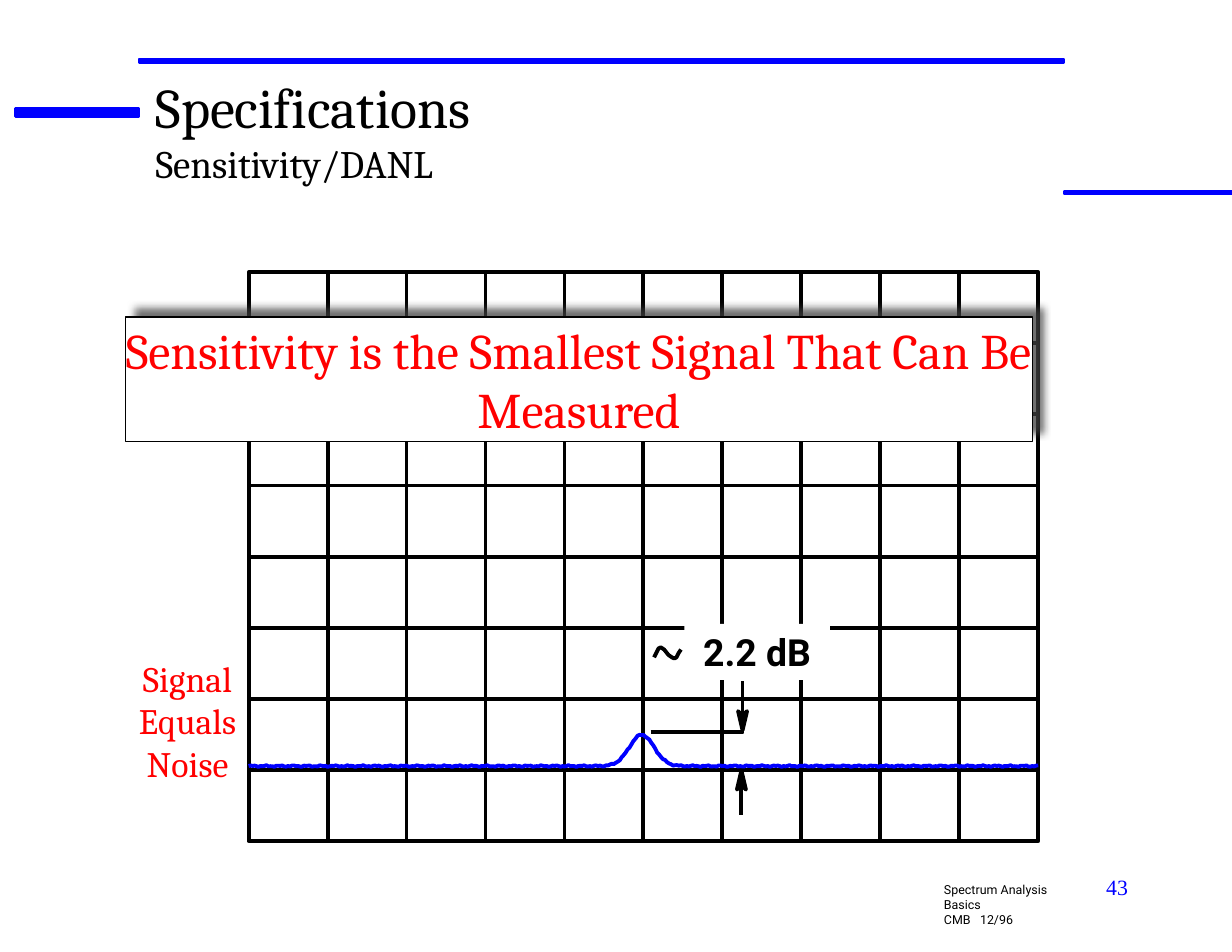
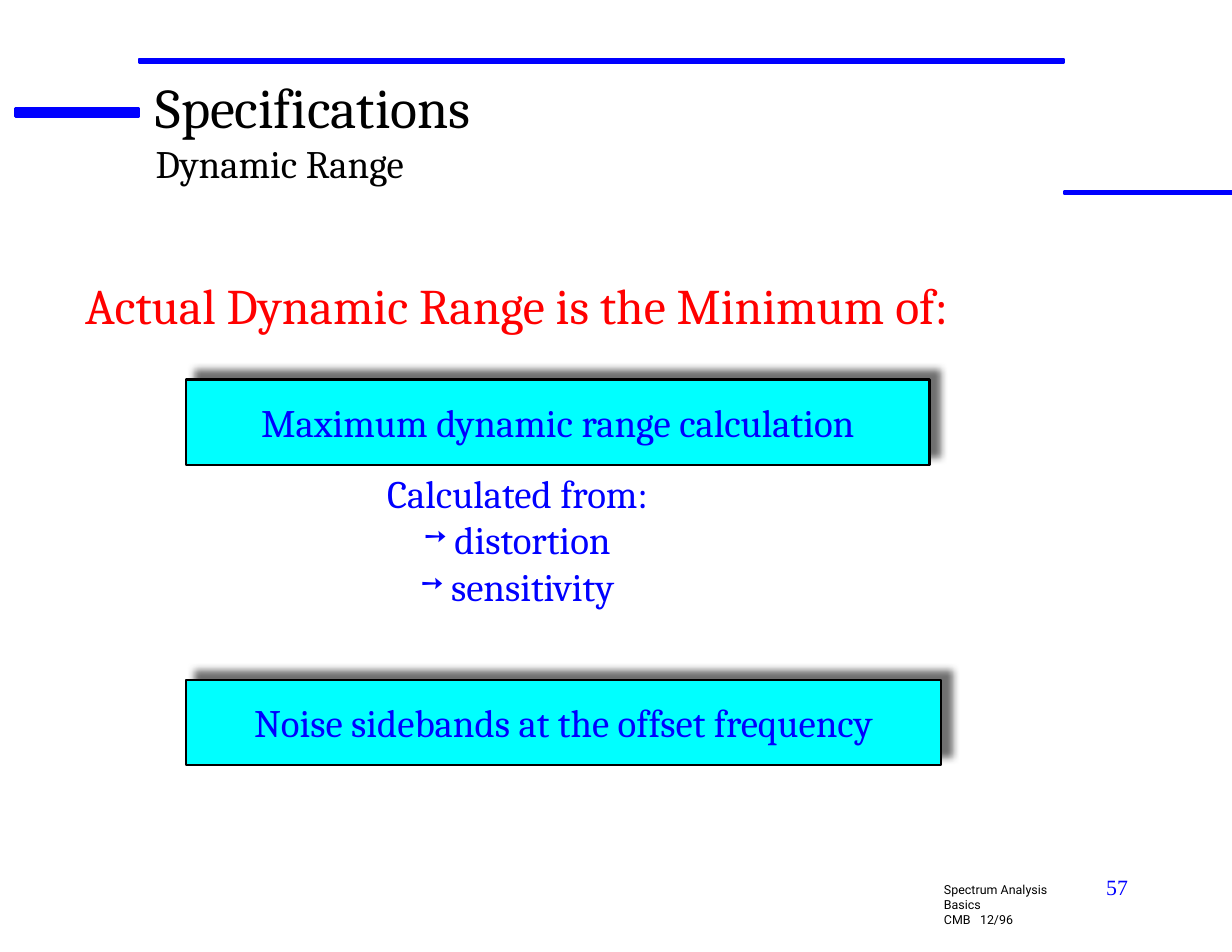
from math import exp, sin
from lxml.etree import SubElement as Sub
from pptx import Presentation
from pptx.dml.color import RGBColor
from pptx.enum.shapes import MSO_CONNECTOR as Link, MSO_SHAPE as Kind
from pptx.enum.text import MSO_ANCHOR as Anchor, MSO_AUTO_SIZE as Fit, PP_ALIGN as Align
from pptx.oxml.ns import qn
from pptx.util import Inches as In, Pt

WIDE, HIGH = 11, 8.5
BLUE, RED, CYAN, BLACK, WHITE = "0000FF", "FF0000", "00FFFF", "000000", "FFFFFF"
SERIF, SANS, TIMES = "Cambria", "Roboto", "Times New Roman"
PEN = 2.5
tint = RGBColor.from_string

BANDS = [  # left, top, width, height, colour
    (1.12, 0.5, 0.11, 0.13, WHITE),
    (0.14, 0.97, 1.1, 0.07, BLUE),
    (1.24, 0.53, 8.26, 0.03, BLUE),
    (9.5, 1.71, 1.5, 0.02, BLUE),
]


def ink(shape, fill=None, line=None, width=PEN, shade=False):
    """Set fill and line, and replace the theme's shadow by none or a drop shadow."""
    if hasattr(shape, "fill"):
        if fill:
            shape.fill.solid()
            shape.fill.fore_color.rgb = tint(fill)
        else:
            shape.fill.background()
    if line:
        shape.line.color.rgb = tint(line)
        shape.line.width = Pt(width)
    else:
        shape.line.fill.background()
    fx = Sub(shape._element.spPr, qn("a:effectLst"))
    if shade:
        drop = Sub(fx, qn("a:outerShdw"), blurRad=str(Pt(5)), dist=str(Pt(8.5)),
                   dir=str(315 * 60000), algn="ctr", rotWithShape="0")
        tone = Sub(drop, qn("a:srgbClr"), val="404040")
        Sub(tone, qn("a:alpha"), val="75000")


def write(shape, lines, size, color, font=SERIF, align=Align.CENTER,
          anchor=Anchor.TOP, pad=(0, 0), bold=False):
    """Fill the text frame, one paragraph a line; pad is the side and top inset."""
    frame = shape.text_frame
    side, top = map(In, pad)
    form = dict(word_wrap=True, auto_size=Fit.NONE, vertical_anchor=anchor,
                margin_left=side, margin_right=side, margin_top=top, margin_bottom=top)
    for name, value in form.items():
        setattr(frame, name, value)
    frame.text = "\n".join(lines)
    look = dict(name=font, size=Pt(size), bold=bold)
    for para in frame.paragraphs:
        para.alignment = align
        for run in para.runs:
            for name, value in look.items():
                setattr(run.font, name, value)
            run.font.color.rgb = tint(color)


deck = Presentation()
deck.slide_width, deck.slide_height = In(WIDE), In(HIGH)

# Bands, title and footer of both slides
pages = []
for topic, number in [("Sensitivity/DANL", "43"), ("Dynamic Range", "57")]:
    page = deck.slides.add_slide(deck.slide_layouts[5])
    pages.append(page.shapes)
    for *box, color in BANDS:
        band = page.shapes.add_shape(Kind.ROUNDED_RECTANGLE, *map(In, box))
        band.adjustments[0] = 0
        ink(band, color, color, 1.5)

    title = page.shapes.title
    spot = dict(left=1.39, top=0.65, width=8.4, height=1)
    for name, value in spot.items():
        setattr(title, name, In(value))
    write(title, ["Specifications", topic], 36, BLACK, align=Align.LEFT)
    title.text_frame.paragraphs[1].runs[0].font.size = Pt(25)

    foot = page.shapes.add_textbox(In(8.33), In(7.83), In(1.36), In(0.37))
    write(foot, ["Spectrum Analysis Basics", "CMB   12/96"], 8, BLACK, SANS,
          Align.LEFT, pad=(0.1, 0.05))
    count = page.shapes.add_textbox(In(7.92), In(7.75), In(2.25), In(0.58))
    write(count, [number], 14, BLUE, TIMES, Align.RIGHT, pad=(0.1, 0.05))

# Slide 1: analyzer screen
shapes = pages[0]
label = shapes.add_textbox(In(0.64), In(5.86), In(2.07), In(1.24))
write(label, ["Signal", "Equals", "Noise"], 23, RED)

LEFT, TOP, COLS, ROWS = 2.22, 2.43, 10, 8
SPAN, DROP = 7.05, 5.08
RIGHT, BASE = LEFT + SPAN, TOP + DROP
frame = shapes.add_shape(Kind.RECTANGLE, In(LEFT), In(TOP), In(SPAN), In(DROP))
ink(frame, None, BLACK)
rules = [(LEFT + SPAN * c / COLS, TOP, LEFT + SPAN * c / COLS, BASE) for c in range(1, COLS)]
rules += [(LEFT, TOP + DROP * r / ROWS, RIGHT, TOP + DROP * r / ROWS) for r in range(1, ROWS)]
rules.append((6.62, 7.01, 6.62, 7.28))  # stem of the upward arrow
for ends in rules:
    ink(shapes.add_connector(Link.STRAIGHT, *map(In, ends)), line=BLACK)

# Noise floor with a signal bump, then the markers of its height
FLOOR, PEAK, MID, SIGMA, STEPS = 6.84, 0.28, 5.73, 0.11, 400
trace = []
for step in range(STEPS + 1):
    x = LEFT + SPAN * step / STEPS
    noise = 0.004 * (sin(2.3 * step) + sin(0.9 * step))
    trace.append((x, FLOOR - noise - PEAK * exp(-((x - MID) / SIGMA) ** 2 / 2)))
elbow = [(5.81, 6.54), (6.63, 6.54), (6.63, 6.08)]
tilde = [(5.84, 5.87), (5.86, 5.83), (5.88, 5.79), (5.9, 5.78), (5.93, 5.8), (5.97, 5.85),
         (6, 5.87), (6.02, 5.88), (6.04, 5.87), (6.06, 5.83), (6.08, 5.8)]
paths = [(trace, BLUE, None), (elbow, BLACK, None), (tilde, BLACK, None)]
for x, y, way in [(6.63, 6.52, -1), (6.62, 6.88, 1)]:
    head = [(x, y), (x - 0.04, y + 0.17 * way), (x, y + 0.13 * way), (x + 0.04, y + 0.17 * way)]
    paths.append((head, BLACK, BLACK))
for dots, color, fill in paths:
    (x, y), *rest = [(In(a), In(b)) for a, b in dots]
    pen = shapes.build_freeform(x, y)
    pen.add_line_segments(rest, close=bool(fill))
    ink(pen.convert_to_shape(), fill, color)

level = shapes.add_shape(Kind.RECTANGLE, In(6.11), In(5.57), In(1.3), In(0.5))
ink(level, WHITE)
write(level, ["2.2 dB"], 24, BLACK, SANS, anchor=Anchor.MIDDLE, bold=True)

# Slide 2: lead line and the two limits
lead = pages[1].add_textbox(In(0.76), In(2.45), In(9.01), In(0.58))
write(lead, ["Actual Dynamic Range is the Minimum of:"], 32, RED, align=Align.LEFT)

# Shadowed boxes of both slides
for shapes, box, text, size, color, fill, edge in [
    (pages[0], (1.12, 2.83, 8.1, 1.11), "Sensitivity is the Smallest Signal That Can Be Measured",
     32, RED, WHITE, 0.75),
    (pages[1], (1.66, 3.39, 6.64, 0.76), "Maximum dynamic range calculation", 25, BLUE, CYAN, 1.5),
    (pages[1], (1.66, 6.07, 6.74, 0.76), "Noise sidebands at the offset frequency",
     25, BLUE, CYAN, 1.5),
]:
    card = shapes.add_shape(Kind.RECTANGLE, *map(In, box))
    ink(card, fill, BLACK, edge, shade=True)
    write(card, [text], size, color, anchor=Anchor.MIDDLE)

causes = pages[1].add_textbox(In(3.22), In(4.19), In(2.8), In(1.25))
write(causes, ["Calculated from:", "distortion", "sensitivity"], 25, BLUE)
for row, para in enumerate(causes.text_frame.paragraphs):
    props = para._p.get_or_add_pPr()
    props.set("marL", str(In(0.27)))
    props.set("indent", str(-In(0.27)))
    if row:
        Sub(Sub(props, qn("a:buClr")), qn("a:srgbClr"), val=BLUE)
        Sub(props, qn("a:buSzPct"), val="70000")
        Sub(props, qn("a:buChar"), char="➙")

deck.save("out.pptx")
